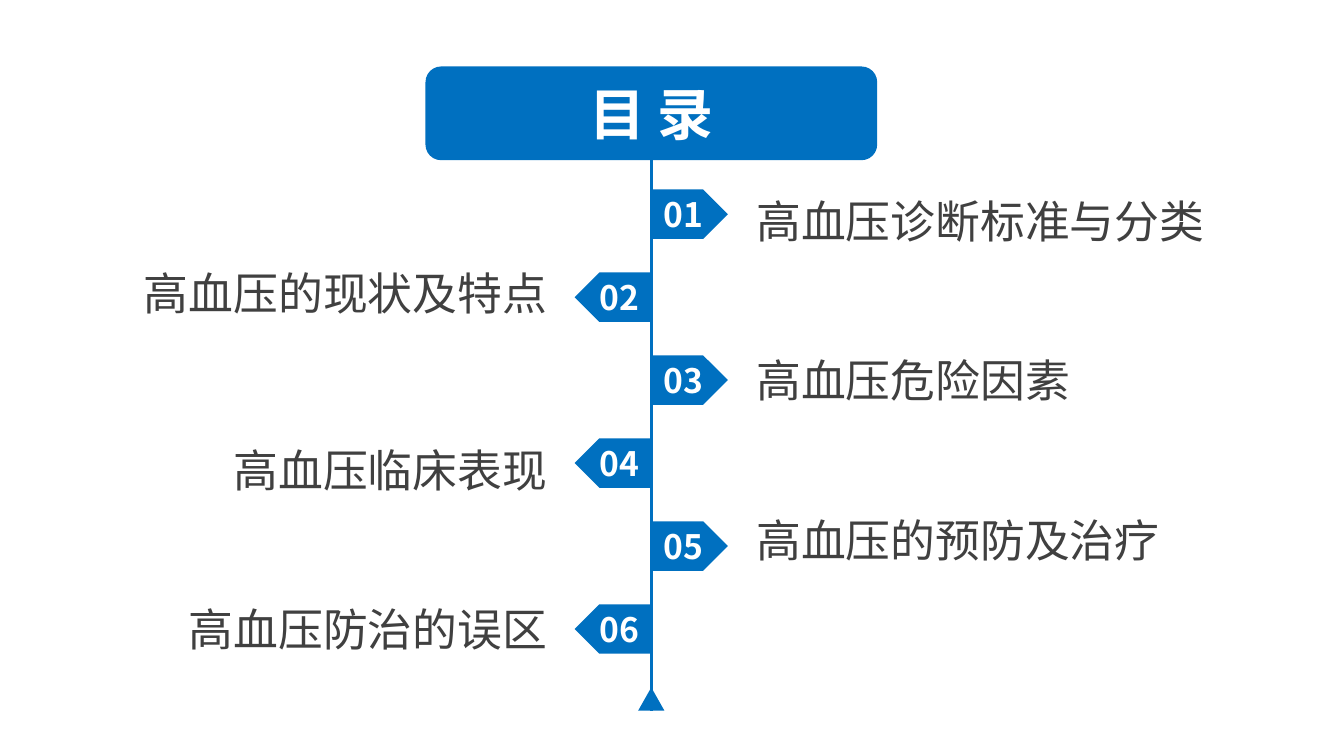
from lxml.etree import SubElement
from pptx import Presentation
from pptx.dml.color import RGBColor
from pptx.enum.shapes import MSO_CONNECTOR, MSO_SHAPE
from pptx.enum.text import MSO_ANCHOR, PP_ALIGN
from pptx.oxml.ns import qn
from pptx.util import Inches, Pt

COLORS = {"blue": "0070C0", "white": "FFFFFF", "gray": "404040"}
FONT = "Noto Sans CJK SC"
AXIS = 6.46
TAG_TOP, TAG_STEP = 1.88, 0.823
TAG_W, TAG_H = 0.76, 0.49
LABEL_H = 0.54

# Label and its top in inches; odd topics stand right of the axis, even ones left
TOPICS = [
    ("高血压诊断标准与分类", 1.92),
    ("高血压的现状及特点", 2.63),
    ("高血压危险因素", 3.5),
    ("高血压临床表现", 4.39),
    ("高血压的预防及治疗", 5.08),
    ("高血压防治的误区", 5.97),
]


def color(name):
    return RGBColor.from_string(COLORS[name])


def write(shape, text, size, tint, bold=False, align=PP_ALIGN.CENTER):
    frame = shape.text_frame
    frame.word_wrap = True
    frame.vertical_anchor = MSO_ANCHOR.MIDDLE
    frame.margin_left = frame.margin_right = Inches(0)
    frame.margin_top = frame.margin_bottom = Inches(0)
    para = frame.paragraphs[0]
    para.alignment = align
    run = para.add_run()
    run.text = text
    font = run.font
    font.name, font.size, font.bold = FONT, Pt(size), bold
    font.color.rgb = color(tint)
    # Chinese glyphs take the East Asian typeface
    SubElement(run._r.get_or_add_rPr(), qn("a:ea")).set("typeface", FONT)


def add_block(slide, kind, left, top, width, height):
    """Add a plain blue shape without outline or shadow."""
    block = slide.shapes.add_shape(
        kind, Inches(left), Inches(top), Inches(width), Inches(height))
    block.shadow.inherit = False
    block.fill.solid()
    block.fill.fore_color.rgb = color("blue")
    block.line.fill.background()
    return block


def add_axis(slide, top, bottom):
    axis = slide.shapes.add_connector(
        MSO_CONNECTOR.STRAIGHT, Inches(AXIS), Inches(top),
        Inches(AXIS), Inches(bottom))
    axis.line.color.rgb = color("blue")
    axis.line.width = Pt(2)
    SubElement(axis._element.spPr, qn("a:effectLst"))
    return axis


def add_tag(slide, index, right):
    """Add a numbered pointer that leads away from the axis."""
    left = AXIS if right else AXIS - TAG_W
    tag = add_block(slide, MSO_SHAPE.PENTAGON, left,
                    TAG_TOP + index * TAG_STEP, TAG_W, TAG_H)
    if not right:
        tag._element.spPr.xfrm.set("flipH", "1")
    write(tag, f"{index + 1:02d}", 24, "white", bold=True)


def add_label(slide, text, top, right):
    left, width = (7.5, 4.49) if right else (1.34, 4.09)
    label = slide.shapes.add_textbox(
        Inches(left), Inches(top), Inches(width), Inches(LABEL_H))
    align = PP_ALIGN.LEFT if right else PP_ALIGN.RIGHT
    write(label, text, 32, "gray", align=align)


def main():
    deck = Presentation()
    deck.slide_width, deck.slide_height = Inches(13.33), Inches(7.5)
    slide = deck.slides.add_slide(deck.slide_layouts[6])

    axis = add_axis(slide, 0.66, 7.05)
    title = add_block(slide, MSO_SHAPE.ROUNDED_RECTANGLE,
                      AXIS - 2.24, 0.66, 4.48, 0.93)
    write(title, "目 录", 40, "white", bold=True)
    axis.begin_connect(title, 0)
    add_block(slide, MSO_SHAPE.ISOSCELES_TRIANGLE,
              AXIS - 0.13, 6.82, 0.26, 0.23)

    for index, (text, top) in enumerate(TOPICS):
        right = index % 2 == 0
        add_tag(slide, index, right)
        add_label(slide, text, top, right)

    deck.save("out.pptx")


if __name__ == "__main__":
    main()
